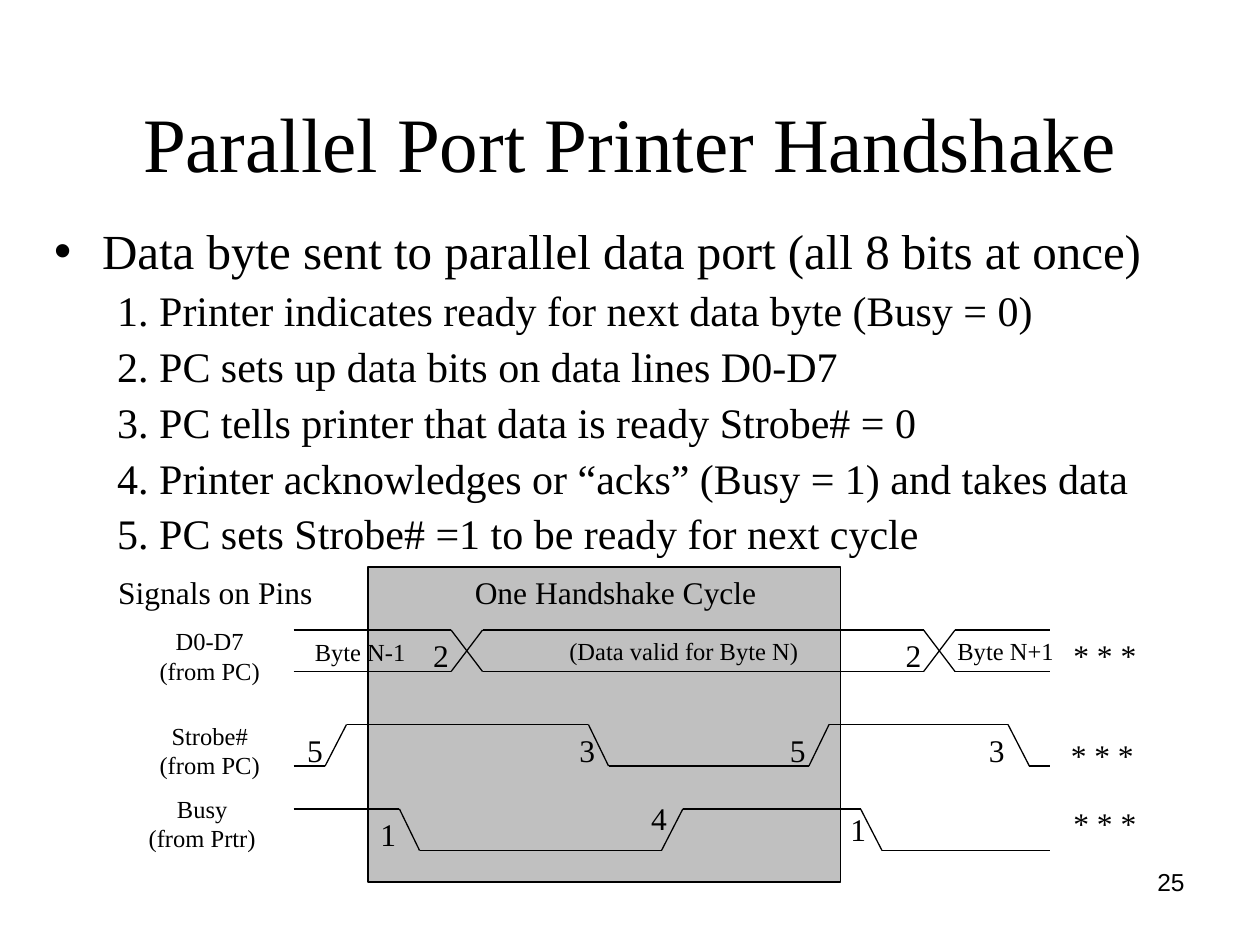
import itertools

import pptx
import pptx.dml.color
import pptx.enum.shapes
import pptx.enum.text
import pptx.oxml.ns
import pptx.util
from lxml import etree

Inches = pptx.util.Inches
qn = pptx.oxml.ns.qn
ALIGN = pptx.enum.text.PP_ALIGN
ANCHOR = pptx.enum.text.MSO_ANCHOR
AUTO_SIZE = pptx.enum.text.MSO_AUTO_SIZE

THEME = {
    "font": "Times New Roman",
    "number_font": "Arial",
    "ink": pptx.dml.color.RGBColor(0, 0, 0),
    "cycle": pptx.dml.color.RGBColor(0xC0, 0xC0, 0xC0),
    "line": 0.75,
    "title": 44,
    "lead": 28,
    "step": 24,
    "label": 18,
    "small": 14,
}

TITLE = "Parallel Port Printer Handshake"
LEAD = "Data byte sent to parallel data port (all 8 bits at once)"
STEPS = [
    "1. Printer indicates ready for next data byte (Busy = 0)",
    "2. PC sets up data bits on data lines D0-D7",
    "3. PC tells printer that data is ready Strobe# = 0",
    "4. Printer acknowledges or “acks” (Busy = 1) and takes data",
    "5. PC sets Strobe# =1 to be ready for next cycle",
]
SLIDE_NUMBER = "25"

# Signal rows: the high level of each trace; the low level is SWING below it.
SWING = 0.33
DATA, STROBE, BUSY = 5, 5.75, 6.42
HIGH, LOW = 0, 1

# Each trace: row, then (x, level) corners from left to right.
TRACES = [
    (DATA, [(2.33, HIGH), (3.58, HIGH), (3.83, LOW), (7.33, LOW),
            (7.58, HIGH), (8.33, HIGH)]),
    (DATA, [(2.33, LOW), (3.58, LOW), (3.83, HIGH), (7.33, HIGH),
            (7.58, LOW), (8.33, LOW)]),
    (STROBE, [(2.33, LOW), (2.58, LOW), (2.75, HIGH), (4.67, HIGH),
              (4.83, LOW), (6.42, LOW), (6.58, HIGH), (8, HIGH),
              (8.17, LOW), (8.33, LOW)]),
    (BUSY, [(2.33, HIGH), (3.17, HIGH), (3.33, LOW), (5.25, LOW),
            (5.42, HIGH), (6.83, HIGH), (7, LOW), (8.33, LOW)]),
]

# text, left, top, width
SIGNAL_NAMES = [
    ("D0-D7\n(from PC)", 1.15, 4.92, 1.03),
    ("Strobe#\n(from PC)", 1.15, 5.67, 1.03),
    ("Busy\n(from Prtr)", 1.06, 6.25, 1.09),
]
BYTE_LABELS = [
    ("Byte N-1", 2.4, 5.01, 0.95),
    ("(Data valid for Byte N)", 4.42, DATA, 2.05),
    ("Byte N+1", 7.5, DATA, 0.99),
]
HEADINGS = [
    ("Signals on Pins", 0.84, 4.5, 1.77),
    ("One Handshake Cycle", 3.67, 4.5, 2.46),
]
CONTINUATIONS = [(8.42, DATA), (8.4, 5.79), (8.42, 6.33)]
STEP_MARKS = [
    ("2", 3.34, DATA), ("2", 7.09, DATA),
    ("5", 2.34, STROBE), ("3", 4.5, STROBE),
    ("5", 6.17, STROBE), ("3", 7.75, STROBE),
    ("1", 2.92, 6.42), ("4", 5.07, 6.29), ("1", 6.65, 6.38),
]


def format_runs(paragraph, size, font=THEME["font"]):
    for run in paragraph.runs:
        run.font.name = font
        run.font.size = pptx.util.Pt(size)
        run.font.color.rgb = THEME["ink"]


def place(shape, left, top, width, height):
    shape.left, shape.top = Inches(left), Inches(top)
    shape.width, shape.height = Inches(width), Inches(height)


def add_title(slide):
    title = slide.shapes.title
    place(title, 0.5, 0.3, 9, 1.25)
    frame = title.text_frame
    frame.text = TITLE
    frame.auto_size = AUTO_SIZE.NONE
    frame.vertical_anchor = ANCHOR.BOTTOM
    paragraph = frame.paragraphs[0]
    paragraph.alignment = ALIGN.CENTER
    paragraph.line_spacing = 0.9
    format_runs(paragraph, THEME["title"])


def add_steps(slide):
    body = slide.placeholders[1]
    place(body, 0.33, 1.75, 9.42, 3.02)
    frame = body.text_frame
    frame.text = "\n".join([LEAD] + STEPS)
    frame.auto_size = AUTO_SIZE.NONE
    for index, paragraph in enumerate(frame.paragraphs):
        is_lead = index == 0
        margin, indent = (0.38, -0.38) if is_lead else (0.81, -0.31)
        paragraph.level = 0 if is_lead else 1
        paragraph.line_spacing = 0.9
        paragraph.space_before = pptx.util.Pt(0 if is_lead else 6)
        properties = paragraph._p.get_or_add_pPr()
        properties.set("marL", str(Inches(margin)))
        properties.set("indent", str(Inches(indent)))
        if is_lead:
            etree.SubElement(properties, qn("a:buChar")).set("char", "•")
        else:
            etree.SubElement(properties, qn("a:buNone"))
        format_runs(paragraph, THEME["lead" if is_lead else "step"])


def add_label(slide, text, left, top, width, size, alignment=ALIGN.LEFT):
    """Add an unwrapped label whose height follows its line count."""
    height = 0.1 + (text.count("\n") + 1) * size / 60
    box = slide.shapes.add_textbox(*map(Inches, (left, top, width, height)))
    frame = box.text_frame
    frame.text = text
    frame.word_wrap = False
    frame.auto_size = AUTO_SIZE.SHAPE_TO_FIT_TEXT
    for paragraph in frame.paragraphs:
        paragraph.alignment = alignment
        format_runs(paragraph, size)


def add_cycle_area(slide):
    area = slide.shapes.add_shape(
        pptx.enum.shapes.MSO_SHAPE.RECTANGLE,
        Inches(2.92), Inches(4.5), Inches(3.75), Inches(2.5))
    area.shadow.inherit = False
    area.fill.solid()
    area.fill.fore_color.rgb = THEME["cycle"]
    area.line.color.rgb = THEME["ink"]
    area.line.width = pptx.util.Pt(THEME["line"])


def add_trace(slide, row, corners):
    points = [(Inches(x), Inches(row + level * SWING)) for x, level in corners]
    for start, end in itertools.pairwise(points):
        line = slide.shapes.add_connector(
            pptx.enum.shapes.MSO_CONNECTOR.STRAIGHT, *start, *end)
        line.line.color.rgb = THEME["ink"]
        line.line.width = pptx.util.Pt(THEME["line"])
        etree.SubElement(line._element.spPr, qn("a:effectLst"))


def add_slide_number(slide):
    box = slide.shapes.add_textbox(
        Inches(7.17), Inches(6.83), Inches(2.33), Inches(0.52))
    box.text_frame.text = SLIDE_NUMBER
    box.text_frame.word_wrap = True
    paragraph = box.text_frame.paragraphs[0]
    paragraph.alignment = ALIGN.RIGHT
    format_runs(paragraph, THEME["small"], THEME["number_font"])


def main():
    presentation = pptx.Presentation()
    presentation.slide_width, presentation.slide_height = Inches(10), Inches(7.5)
    slide = presentation.slides.add_slide(presentation.slide_layouts[1])
    add_title(slide)
    add_steps(slide)
    add_slide_number(slide)
    add_cycle_area(slide)
    for row, corners in TRACES:
        add_trace(slide, row, corners)
    for name in SIGNAL_NAMES:
        add_label(slide, *name, THEME["small"], ALIGN.CENTER)
    for label in BYTE_LABELS:
        add_label(slide, *label, THEME["small"])
    for heading in HEADINGS:
        add_label(slide, *heading, THEME["label"])
    for left, top in CONTINUATIONS:
        add_label(slide, "* * *", left, top, 0.72, THEME["label"])
    for number, left, top in STEP_MARKS:
        add_label(slide, number, left, top, 0.33, THEME["label"])
    presentation.save("out.pptx")


if __name__ == "__main__":
    main()
